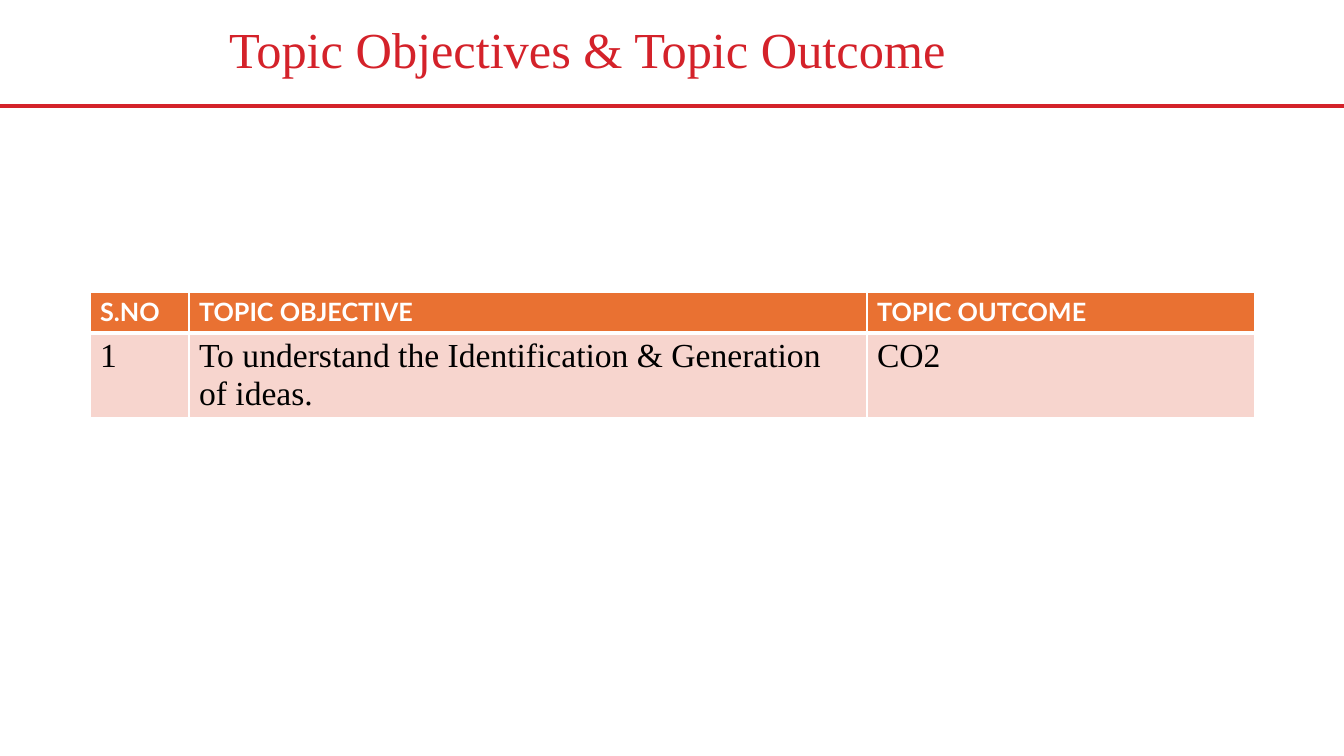
from lxml.etree import SubElement
from pptx import Presentation
from pptx.dml.color import RGBColor
from pptx.enum.shapes import MSO_CONNECTOR
from pptx.enum.text import MSO_ANCHOR, MSO_AUTO_SIZE, PP_ALIGN
from pptx.oxml.ns import qn
from pptx.util import Emu, Pt

EMU_PER_PX = 914400 / 100.8
SLIDE_WIDTH, SLIDE_HEIGHT = 1344, 756
COLORS = {
    "red": "D4222A",
    "header": "E97132",
    "body": "F7D5CE",
    "white": "FFFFFF",
    "black": "000000",
}
COLUMN_WIDTHS = [99, 678, 388]
ROW_HEIGHTS = [41, 83]
ROWS = [
    ["S.NO", "TOPIC OBJECTIVE", "TOPIC OUTCOME"],
    ["1", "To understand the Identification & Generation of ideas.", "CO2"],
]


def px(value):
    return Emu(round(value * EMU_PER_PX))


def color(name):
    return RGBColor.from_string(COLORS[name])


def add_run(paragraph, text, font_name, size, color_name, bold=False):
    run = paragraph.add_run()
    run.text = text
    run.font.name = font_name
    run.font.size = Pt(size)
    run.font.bold = bold
    run.font.color.rgb = color(color_name)


def add_title(slide, text):
    title = slide.shapes.title
    title.left, title.top, title.width, title.height = map(px, (219, 10, 1120, 85))
    frame = title.text_frame
    frame.auto_size = MSO_AUTO_SIZE.NONE
    frame.vertical_anchor = MSO_ANCHOR.MIDDLE
    paragraph = frame.paragraphs[0]
    paragraph.alignment = PP_ALIGN.LEFT
    paragraph.line_spacing = 0.9
    add_run(paragraph, text, "Times New Roman", 36, "red")


def add_rule(slide, y):
    rule = slide.shapes.add_connector(
        MSO_CONNECTOR.STRAIGHT, 0, px(y), px(SLIDE_WIDTH), px(y))
    rule.line.color.rgb = color("red")
    rule.line.width = Pt(3)
    SubElement(rule._element.spPr, qn("a:effectLst"))


def set_borders(cell, bottom_width):
    properties = cell._tc.get_or_add_tcPr()
    for side, width in (("L", 1), ("R", 1), ("T", 1), ("B", bottom_width)):
        line = SubElement(properties, qn(f"a:ln{side}"), w=str(Pt(width)))
        fill = SubElement(line, qn("a:solidFill"))
        SubElement(fill, qn("a:srgbClr"), val=COLORS["white"])


def fill_cell(cell, text, is_header):
    set_borders(cell, 3 if is_header else 1)
    cell.fill.solid()
    cell.fill.fore_color.rgb = color("header" if is_header else "body")
    paragraph = cell.text_frame.paragraphs[0]
    if is_header:
        add_run(paragraph, text, "Lato", 18, "white", bold=True)
    else:
        add_run(paragraph, text, "Times New Roman", 24, "black")


def add_topic_table(slide, left, top):
    table = slide.shapes.add_table(
        len(ROWS), len(COLUMN_WIDTHS), px(left), px(top),
        px(sum(COLUMN_WIDTHS)), px(sum(ROW_HEIGHTS))).table
    for column, width in zip(table.columns, COLUMN_WIDTHS):
        column.width = px(width)
    for row_index, texts in enumerate(ROWS):
        table.rows[row_index].height = px(ROW_HEIGHTS[row_index])
        for column_index, text in enumerate(texts):
            fill_cell(table.cell(row_index, column_index), text, row_index == 0)


def main():
    presentation = Presentation()
    presentation.slide_width = px(SLIDE_WIDTH)
    presentation.slide_height = px(SLIDE_HEIGHT)
    slide = presentation.slides.add_slide(presentation.slide_layouts[5])
    add_rule(slide, 106)
    add_title(slide, "Topic Objectives & Topic Outcome")
    add_topic_table(slide, 90, 292)
    presentation.save("out.pptx")


if __name__ == "__main__":
    main()
